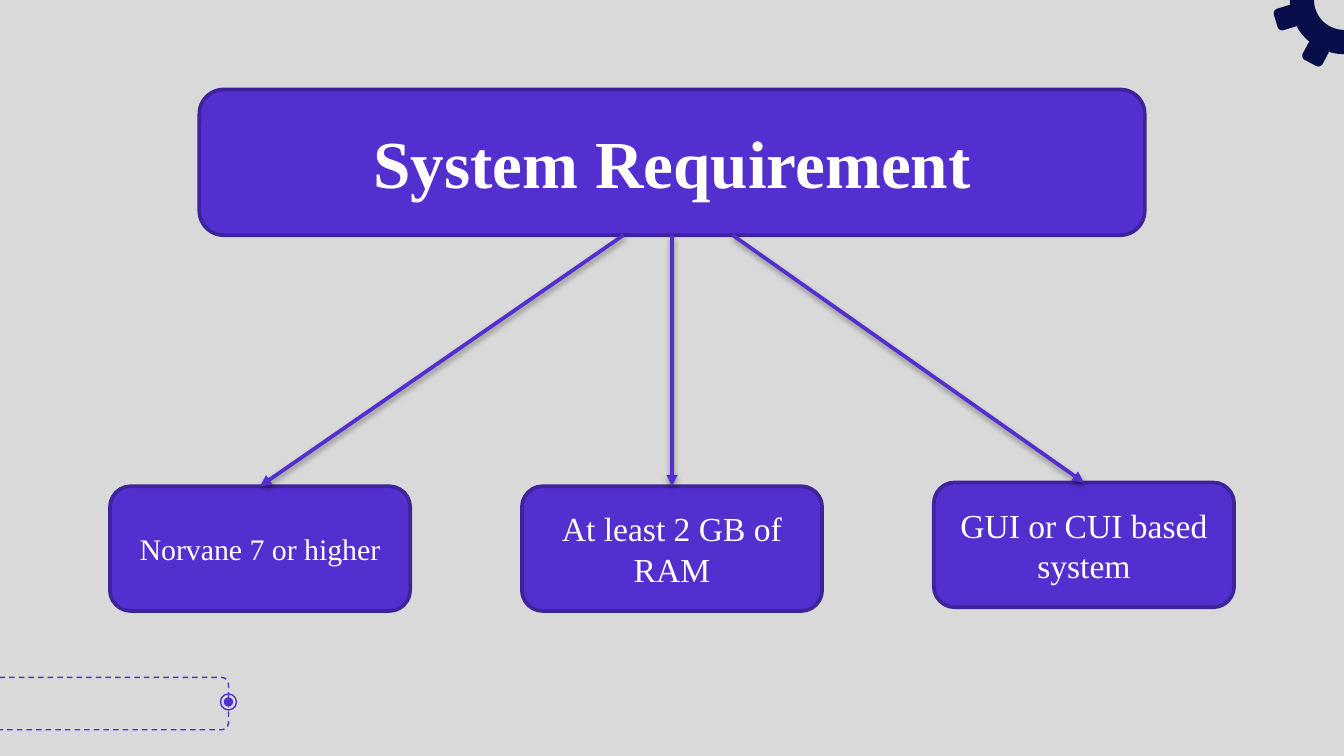
from math import cos, pi, radians, sin

from lxml.etree import SubElement
from pptx import Presentation
from pptx.dml.color import RGBColor
from pptx.enum.dml import MSO_LINE_DASH_STYLE as Dash
from pptx.enum.shapes import MSO_CONNECTOR as Connector, MSO_SHAPE as Shape
from pptx.enum.text import MSO_ANCHOR as Anchor, MSO_AUTO_SIZE as AutoSize, PP_ALIGN as Align
from pptx.oxml.ns import qn
from pptx.util import Pt

TITLE = "System Requirement"
# text, text size, box top, arrow start x
REQUIREMENTS = [
    ("Norvane 7 or higher", 16, 260.5, 334),
    ("At least 2 GB of RAM", 18, 260.5, 360),
    ("GUI or CUI based system", 18, 258.5, 392.5),
]
COLORS = {
    "background": "D9D9D9", "violet": "542FD0", "border": "3E239A",
    "navy": "070E49", "text": "FFFFFF", "shadow": "000000",
}
FONT = "Times New Roman"

SLIDE_W, SLIDE_H = 720, 405
BANNER = (106.8, 48, 506.4, 78)
TITLE_BOX = (106.8, 61.2, 506.4, 51)
BOX_W, BOX_H, BOX_PITCH = 160.8, 66.8, 220.7

GEAR_CENTER = (720, 0)
GEAR_HOLE, GEAR_RIM, GEAR_TIP = 16, 29, 38.2
TOOTH_COUNT, TOOTH_HALF, TOOTH_ROUND, FIRST_TOOTH = 8, 6, 2.6, 28
UNITS_PER_POINT = 100


def rgb(name):
    return RGBColor.from_string(COLORS[name])


def add_shape(kind, box, fill=None, line=None, width=0.75):
    shape = slide.shapes.add_shape(kind, *(Pt(v) for v in box))
    shape.shadow.inherit = False
    if fill:
        shape.fill.solid()
        shape.fill.fore_color.rgb = rgb(fill)
    else:
        shape.fill.background()
    if line:
        shape.line.color.rgb = rgb(line)
        shape.line.width = Pt(width)
    else:
        shape.line.fill.background()
    return shape


def write(shape, text, size, bold=False):
    frame = shape.text_frame
    frame.text = text
    frame.word_wrap = True
    frame.auto_size = AutoSize.NONE
    frame.vertical_anchor = Anchor.MIDDLE
    paragraph = frame.paragraphs[0]
    paragraph.alignment = Align.CENTER
    font = paragraph.runs[0].font
    font.name, font.size, font.bold = FONT, Pt(size), bold
    font.color.rgb = rgb("text")


def add_arrow(start_x, box):
    top = BANNER[1] + BANNER[3]
    arrow = slide.shapes.add_connector(
        Connector.STRAIGHT, Pt(start_x), Pt(top), box.left + box.width // 2, box.top)
    if start_x == BANNER[0] + BANNER[2] / 2:
        arrow.begin_connect(banner, 2)
    arrow.end_connect(box, 0)
    arrow.line.color.rgb = rgb("violet")
    arrow.line.width = Pt(2)
    SubElement(arrow.line._get_or_add_ln(), qn("a:tailEnd"), type="triangle")
    effects = SubElement(arrow._element.spPr, qn("a:effectLst"))
    shadow = SubElement(effects, qn("a:outerShdw"), blurRad=str(Pt(3.1)),
                        dist=str(Pt(1.6)), dir="5400000", rotWithShape="0")
    color = SubElement(shadow, qn("a:srgbClr"), val=COLORS["shadow"])
    SubElement(color, qn("a:alpha"), val="38000")


def gear_point(along, across, angle):
    """Turn a point on a tooth's own axes into freeform units on the slide."""
    x = GEAR_CENTER[0] + along * cos(angle) - across * sin(angle)
    y = GEAR_CENTER[1] + along * sin(angle) + across * cos(angle)
    return x * UNITS_PER_POINT, y * UNITS_PER_POINT


def gear_outline():
    points = []
    for tooth in range(TOOTH_COUNT):
        angle = radians(FIRST_TOOTH + tooth * 360 / TOOTH_COUNT)
        points.append(gear_point(GEAR_RIM - 1, -TOOTH_HALF, angle))
        for side, turns in ((-1, range(0, 91, 15)), (1, range(90, -1, -15))):
            for turn in map(radians, turns):
                along = GEAR_TIP - TOOTH_ROUND * (1 - sin(turn))
                across = side * (TOOTH_HALF - TOOTH_ROUND * (1 - cos(turn)))
                points.append(gear_point(along, across, angle))
        points.append(gear_point(GEAR_RIM - 1, TOOTH_HALF, angle))
        points += [gear_point(GEAR_RIM, 0, angle + radians(step))
                   for step in range(13, 33, 3)]
    return points


def add_gear():
    outline = gear_outline()
    hole = [gear_point(GEAR_HOLE, 0, -2 * pi * i / 72) for i in range(72)]
    builder = slide.shapes.build_freeform(*outline[0], scale=Pt(1) / UNITS_PER_POINT)
    builder.add_line_segments(outline[1:], close=True)
    builder.move_to(*hole[0])
    builder.add_line_segments(hole[1:], close=True)
    gear = builder.convert_to_shape()
    gear.shadow.inherit = False
    gear.fill.solid()
    gear.fill.fore_color.rgb = rgb("navy")
    gear.line.fill.background()


def add_bracket():
    left, top, width, height = -13.7, 362.9, 136.1, 28.1
    bracket = add_shape(Shape.ROUNDED_RECTANGLE, (left, top, width, height), line="violet")
    bracket.adjustments[0] = 0.13
    bracket.line.dash_style = Dash.DASH
    for size, fill, line in ((5, "violet", None), (8.6, None, "violet")):
        add_shape(Shape.OVAL, (left + width - size / 2, top + (height - 1.8) / 2 - size / 2,
                               size, size), fill, line)


prs = Presentation()
prs.slide_width, prs.slide_height = Pt(SLIDE_W), Pt(SLIDE_H)
slide = prs.slides.add_slide(prs.slide_layouts[5])
slide.background.fill.solid()
slide.background.fill.fore_color.rgb = rgb("background")

add_bracket()
add_gear()

banner = add_shape(Shape.ROUNDED_RECTANGLE, BANNER, "violet", "border", 2)
title = slide.shapes.title
title.left, title.top, title.width, title.height = (Pt(v) for v in TITLE_BOX)
write(title, TITLE, 36, bold=True)
banner._element.addnext(title._element)

first_left = (SLIDE_W - BOX_W) / 2 - BOX_PITCH
boxes = []
for column, (text, size, top, _) in enumerate(REQUIREMENTS):
    box = add_shape(Shape.ROUNDED_RECTANGLE,
                    (first_left + column * BOX_PITCH, top, BOX_W, BOX_H),
                    "violet", "border", 2)
    write(box, text, size)
    boxes.append(box)

for (_, _, _, start_x), box in zip(REQUIREMENTS, boxes):
    add_arrow(start_x, box)

prs.save("out.pptx")
